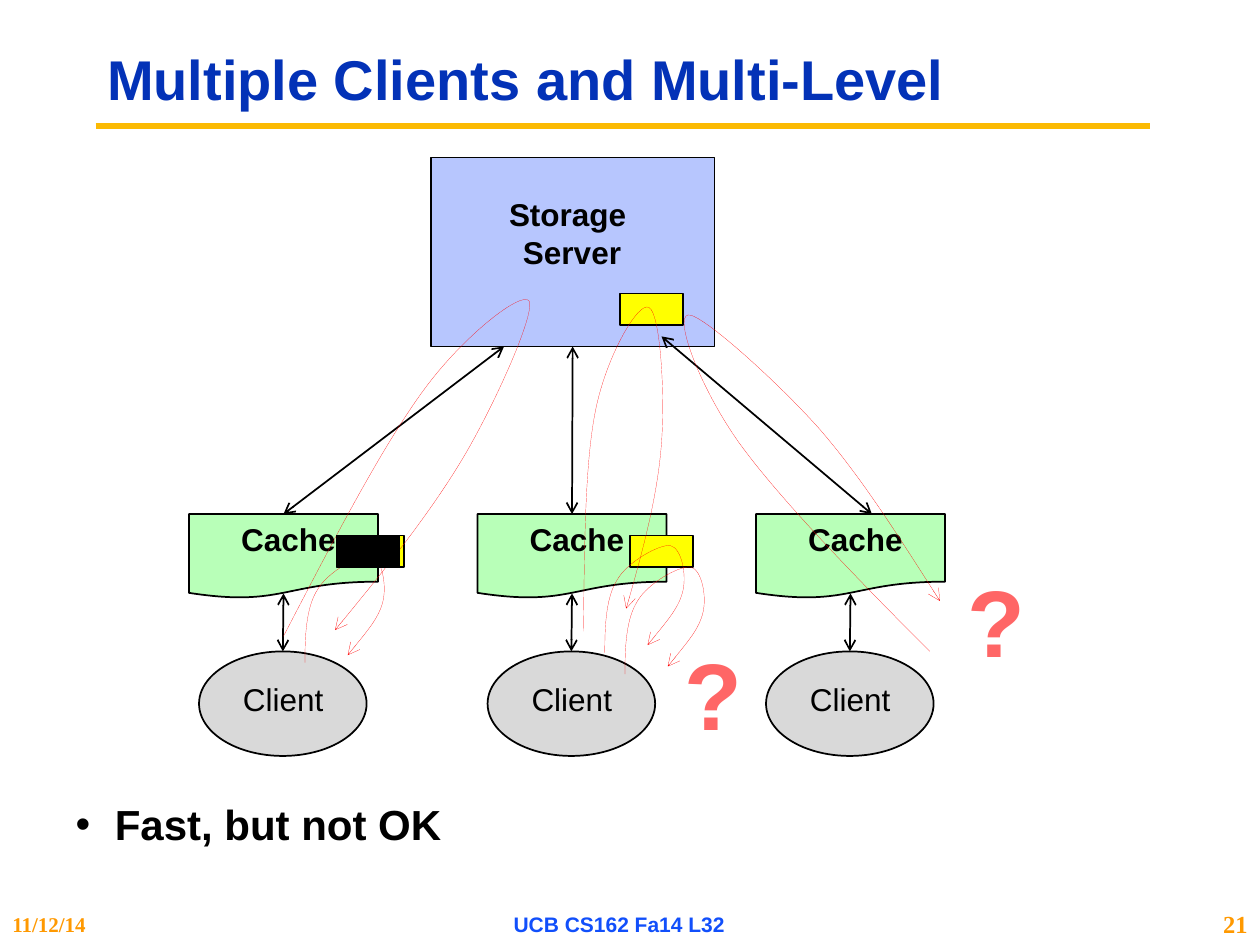
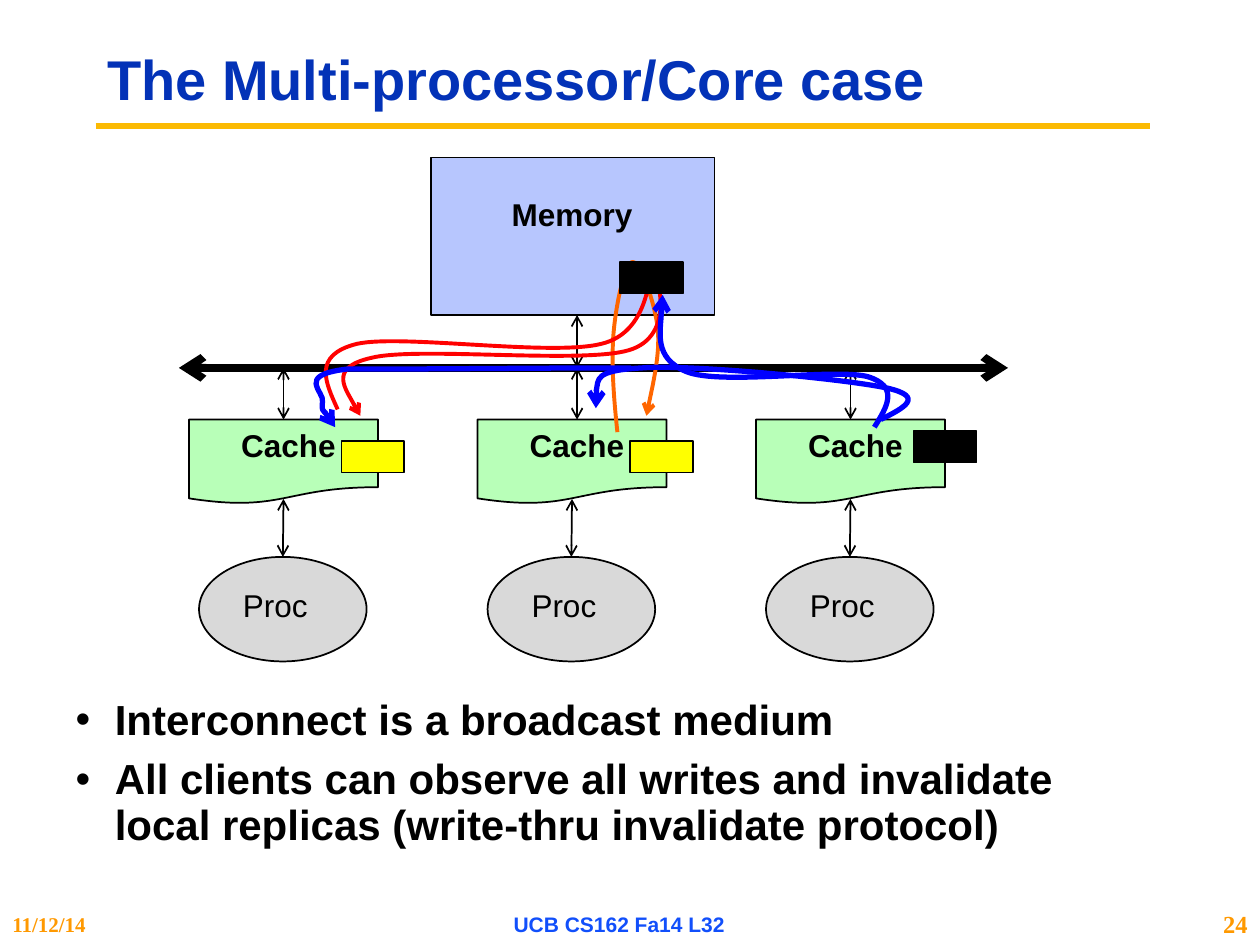
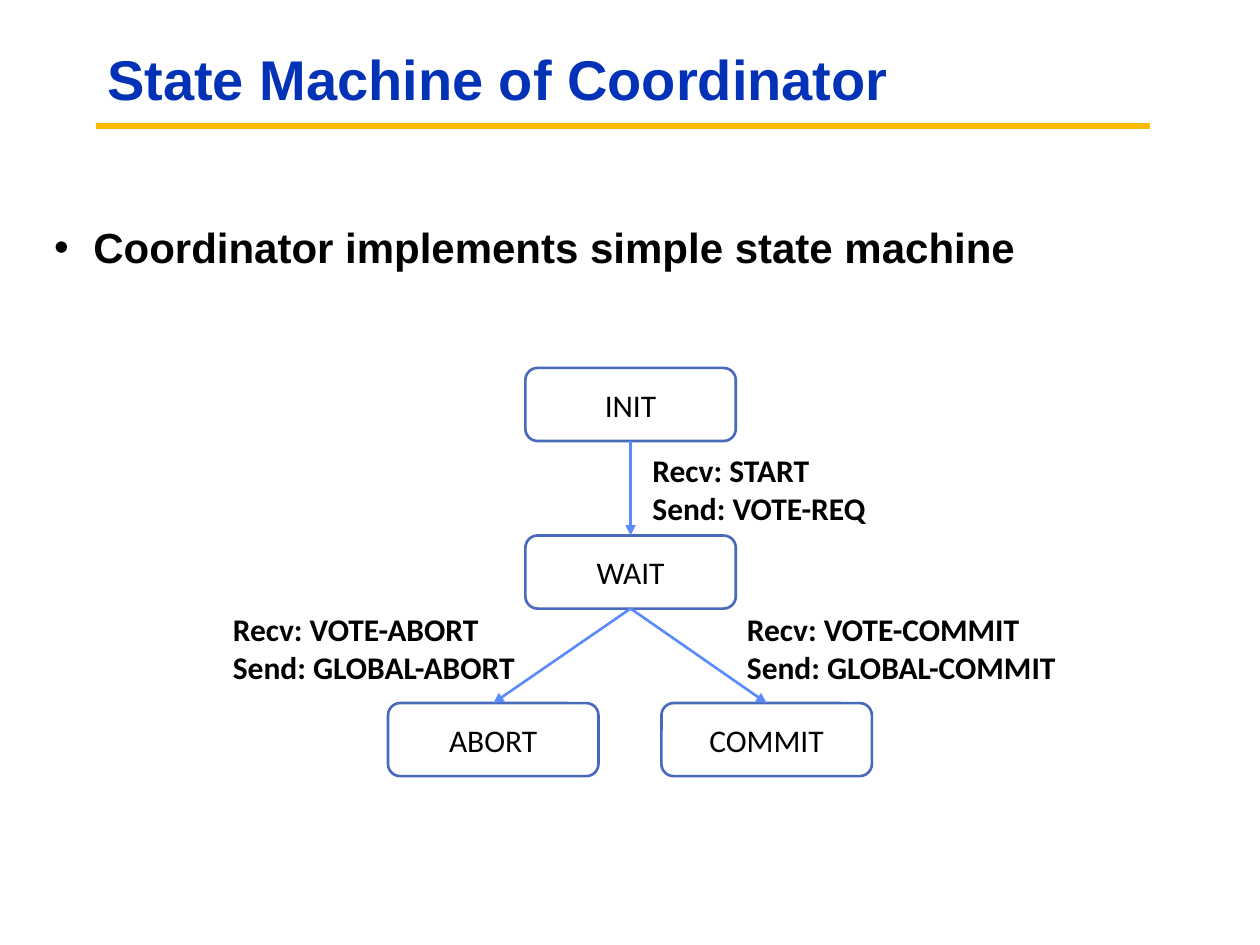
from lxml.etree import SubElement
from pptx import Presentation
from pptx.dml.color import RGBColor
from pptx.enum.shapes import MSO_CONNECTOR, MSO_SHAPE
from pptx.enum.text import MSO_ANCHOR, MSO_AUTO_SIZE, PP_ALIGN
from pptx.oxml.ns import qn
from pptx.util import Cm, Pt

BLACK, RED, YELLOW = "000000", "FF0000", "FFFF00"
SERVER, CACHE, NODE = "B7C6FE", "B8FFB8", "D9D9D9"
TITLE, RULE, FOOTER, ACCENT = "0332B7", "FBBA03", "114FFB", "FF9900"
BLUE, ORANGE, QUESTION = "0000FF", "FF6600", "FF6666"
STATE, TRANSITION = "486ABB", "5B8AFB"
LEFT, CENTER, RIGHT = PP_ALIGN.LEFT, PP_ALIGN.CENTER, PP_ALIGN.RIGHT
COLUMNS = (1.5, 3.79, 6)
BLOCK = (0.5, 0.25)
LOOP = [(0, 0), (0, -0.22), (0.01, -0.44), (0.1, -0.58), (0.18, -0.72),
        (0.43, -0.86), (0.52, -0.85), (0.61, -0.83), (0.65, -0.62),
        (0.62, -0.49), (0.59, -0.36), (0.46, -0.21), (0.34, -0.06)]


def rgb(value):
    return RGBColor.from_string(value)


def inches(*values):
    return [Cm(2.54 * value) for value in values]


class Lecture:
    def __init__(self):
        self.deck = Presentation()
        self.deck.slide_width, self.deck.slide_height = inches(10, 7.5)
        self.page = None

    def start(self, title, number=None):
        self.page = self.deck.slides.add_slide(self.deck.slide_layouts[1])
        self.line((0.76, 1), (9.13, 1), RULE, 3.75)
        box = self.placeholder(self.page.shapes.title, 0.75, 0.25, 8.42, 0.81)
        box.text_frame.vertical_anchor = MSO_ANCHOR.MIDDLE
        self.set_lines(box.text_frame, [title], 32, TITLE, True)
        box.text_frame.paragraphs[0].line_spacing = 0.9
        if number:
            self.footer("11/12/14", 0, 1.67, LEFT, 12, ACCENT, "Times New Roman")
            self.footer("UCB CS162 Fa14 L32", 3.33, 3.17, CENTER, 12, FOOTER, "Arial")
            self.footer(number, 9.42, 0.58, RIGHT, 14, ACCENT, "Times New Roman")

    def placeholder(self, box, *place):
        box.left, box.top, box.width, box.height = inches(*place)
        box.text_frame.auto_size = MSO_AUTO_SIZE.NONE
        return box

    def set_lines(self, frame, lines, size=18, color=BLACK, bold=False, align=LEFT, font="Arial"):
        for index, line in enumerate(lines):
            paragraph = frame.add_paragraph() if index else frame.paragraphs[0]
            paragraph.text = line
            paragraph.alignment = align
            paragraph.font.name = font
            paragraph.font.size = Pt(size)
            paragraph.font.bold = bold
            paragraph.font.color.rgb = rgb(color)

    def bullets(self, lines, *place):
        frame = self.placeholder(self.page.placeholders[1], *place).text_frame
        frame.vertical_anchor = MSO_ANCHOR.TOP
        for index in range(len(lines)):
            paragraph = frame.add_paragraph() if index else frame.paragraphs[0]
            paragraph.line_spacing = 0.9
            paragraph.space_before = Pt(8 if index else 0)
            properties = paragraph._p.get_or_add_pPr()
            properties.set("marL", str(Cm(0.79)))
            properties.set("indent", str(Cm(-0.79)))
            SubElement(properties, qn("a:buChar")).set("char", "•")
        for paragraph, line in zip(frame.paragraphs, lines):
            paragraph.text = line
            paragraph.font.name = "Arial"
            paragraph.font.size = Pt(24)
            paragraph.font.bold = True
            paragraph.font.color.rgb = rgb(BLACK)

    def text(self, lines, place, wrap=False, **style):
        box = self.page.shapes.add_textbox(*inches(*place))
        box.text_frame.word_wrap = wrap
        self.set_lines(box.text_frame, lines, **style)
        return box

    def footer(self, line, left, width, align, size, color, font):
        box = self.text([line], (left, 7.17, width, 0.33), True, size=size,
                        color=color, bold=True, align=align, font=font)
        box.text_frame.vertical_anchor = MSO_ANCHOR.MIDDLE

    def shape(self, kind, place, fill=None, line=BLACK, width=1):
        box = self.page.shapes.add_shape(kind, *inches(*place))
        box.shadow.inherit = False
        if fill:
            box.fill.solid()
            box.fill.fore_color.rgb = rgb(fill)
        else:
            box.fill.background()
        box.line.color.rgb = rgb(line)
        box.line.width = Pt(width)
        return box

    def block(self, left, top, color=YELLOW):
        self.shape(MSO_SHAPE.RECTANGLE, (left, top, *BLOCK), color)

    def arrowheads(self, shape, head=None, tail=None):
        stroke = shape.line._get_or_add_ln()
        for tag, kind in (("a:headEnd", head), ("a:tailEnd", tail)):
            if kind:
                SubElement(stroke, qn(tag)).set("type", kind)

    def line(self, start, end, color=BLACK, width=1, head=None, tail=None,
             source=None, target=None):
        connector = self.page.shapes.add_connector(
            MSO_CONNECTOR.STRAIGHT, *inches(*start, *end))
        connector.line.color.rgb = rgb(color)
        connector.line.width = Pt(width)
        self.arrowheads(connector, head, tail)
        SubElement(connector._element.spPr, qn("a:effectLst"))
        if source:
            connector.begin_connect(*source)
        if target:
            connector.end_connect(*target)

    def link(self, start, end, width=1, **joins):
        self.line(start, end, BLACK, width, "arrow", "arrow", **joins)

    def curve(self, points, color=RED, width=None):
        start, *rest = [tuple(inches(*point)) for point in points]
        builder = self.page.shapes.build_freeform(*start)
        builder.add_line_segments(rest, close=False)
        shape = builder.convert_to_shape()
        shape._element.remove(shape._element.find(qn("p:style")))
        outline = shape._element.find(".//" + qn("a:path"))
        segments = outline.findall(qn("a:lnTo"))
        for index in range(0, len(segments), 3):
            bezier = SubElement(outline, qn("a:cubicBezTo"))
            for segment in segments[index:index + 3]:
                bezier.append(segment[0])
                outline.remove(segment)
        shape.fill.background()
        shape.line.color.rgb = rgb(color)
        if width:
            shape.line.width = Pt(width)
        self.arrowheads(shape, tail="arrow")

    def column(self, left, top, name, name_width):
        node = self.shape(MSO_SHAPE.OVAL, (left + 0.08, top + 1.09, 1.33, 0.83), NODE)
        self.text([name], (left + 0.33, top + 1.27, name_width, 0.4))
        cache = self.shape(MSO_SHAPE.FLOWCHART_DOCUMENT, (left, top, 1.5, 0.67), CACHE)
        self.text(["Cache"], (left + 0.31, top, 0.96, 0.4), bold=True, align=CENTER)
        self.link((left + 0.75, top + 1.09), (left + 0.75, top + 0.63), source=(node, 0))
        return cache

    def state(self, name, left, top):
        box = self.shape(MSO_SHAPE.ROUNDED_RECTANGLE, (left, top, 1.67, 0.58), None, STATE, 1.5)
        frame = box.text_frame
        frame.margin_left = frame.margin_right = frame.margin_top = frame.margin_bottom = 0
        frame.vertical_anchor = MSO_ANCHOR.MIDDLE
        self.set_lines(frame, [name], align=CENTER, font="Calibri")
        return box

    def transition(self, source, target, received, sent, *place):
        self.line((0, 0), (1, 1), TRANSITION, 1.5, tail="triangle",
                  source=(source, 2), target=(target, 0))
        self.text([f"Recv: {received}", f"Send: {sent}"], place, True,
                  bold=True, font="Calibri")


def clients_slide(lecture):
    lecture.start("Multiple Clients and Multi-Level", "21")
    lecture.bullets(["Fast, but not OK"], 0.5, 6.33, 8.42, 0.75)
    server = lecture.shape(MSO_SHAPE.RECTANGLE, (3.42, 1.25, 2.25, 1.5), SERVER)
    lecture.text(["Storage ", "Server"], (3.73, 1.5, 1.62, 0.71), bold=True, align=CENTER)
    first, second, third = [lecture.column(left, 4.08, "Client", 0.85) for left in COLUMNS]
    lecture.link((2.25, 4.08), (4, 2.75), source=(first, 0))
    lecture.link((4.54, 4.08), (4.54, 2.75), source=(second, 0), target=(server, 2))
    lecture.link((6.92, 4.08), (5.25, 2.67))
    for left, top in ((4.92, 2.33), (5, 4.25), (2.71, 4.25)):
        lecture.block(left, top)
    lecture.curve([(4.63, 5.01), (4.64, 4.34), (4.64, 3.67), (4.73, 3.24), (4.82, 2.81),
                   (5.07, 2.39), (5.15, 2.44), (5.24, 2.48), (5.28, 3.12), (5.25, 3.52),
                   (5.22, 3.92), (5.1, 4.38), (4.97, 4.83)])
    lecture.curve([(2.25, 5.05), (2.64, 4.3), (3.03, 3.55), (3.36, 3.1), (3.68, 2.66),
                   (4.15, 2.3), (4.2, 2.39), (4.25, 2.49), (3.92, 3.23), (3.66, 3.66),
                   (3.4, 4.09), (3.03, 4.55), (2.66, 5)])
    lecture.curve([(7.38, 5.17), (6.78, 4.57), (6.19, 3.96), (5.87, 3.52), (5.55, 3.07),
                   (5.35, 2.52), (5.46, 2.5), (5.56, 2.48), (6.16, 3.02), (6.5, 3.4),
                   (6.83, 3.78), (7.14, 4.27), (7.46, 4.77)])
    for left, top in ((4.8, 5.18), (4.96, 5.35), (2.42, 5.26)):
        lecture.curve([(left + across, top + down) for across, down in LOOP])
    lecture.block(2.67, 4.25, BLACK)
    for left, top in ((5.33, 5), (7.58, 4.42)):
        lecture.text(["?"], (left, top, 0.66, 1.01), size=54, color=QUESTION,
                     bold=True, align=CENTER)


def processors_slide(lecture):
    lecture.start("The Multi-processor/Core case", "24")
    lecture.bullets(["Interconnect is a broadcast medium",
                     "All clients can observe all writes and invalidate local replicas "
                     "(write-thru invalidate protocol)"], 0.5, 5.5, 8.42, 0.75)
    lecture.shape(MSO_SHAPE.RECTANGLE, (3.42, 1.25, 2.25, 1.25), SERVER)
    lecture.text(["Memory"], (3.94, 1.5, 1.2, 0.4), bold=True, align=CENTER)
    first, second, third = [lecture.column(left, 3.33, "Proc", 0.72) for left in COLUMNS]
    for left, top, color in ((5, 3.5, YELLOW), (2.71, 3.5, YELLOW), (7.25, 3.42, BLACK)):
        lecture.block(left, top, color)
    lecture.link((1.42, 2.92), (8, 2.92), 4.5)
    for center, source in ((2.25, (first, 0)), (4.58, None), (6.75, (third, 0))):
        lecture.link((center, 3.33), (center, 2.92), source=source)
    lecture.link((4.58, 2.92), (4.58, 2.5))
    lecture.curve([(4.9, 3.43), (4.87, 3.15), (4.85, 2.87), (4.87, 2.64), (4.89, 2.41),
                   (4.96, 2.08), (5.02, 2.08), (5.08, 2.07), (5.2, 2.41), (5.22, 2.61),
                   (5.24, 2.81), (5.13, 3.3), (5.13, 3.3)], ORANGE, 2.25)
    lecture.curve([(2.68, 3.25), (2.58, 3.03), (2.48, 2.82), (2.83, 2.73), (3.18, 2.65),
                   (4.37, 2.83), (4.77, 2.73), (5.16, 2.64), (5.14, 2.16), (5.18, 2.17),
                   (5.22, 2.17), (5.37, 2.67), (4.99, 2.78), (4.62, 2.89), (3.31, 2.75),
                   (2.95, 2.84), (2.59, 2.92), (2.86, 3.3), (2.86, 3.3)], RED, 2.25)
    for broadcast in (
            [(6.94, 3.39), (7.04, 3.23), (7.14, 3.07), (6.89, 2.99), (6.64, 2.92),
             (5.72, 3.06), (5.45, 2.95), (5.18, 2.84), (5.26, 2.34), (5.26, 2.34)],
            [(6.99, 3.33), (7.17, 3.24), (7.35, 3.15), (7.04, 3.08), (6.72, 3.01),
             (5.48, 2.89), (5.1, 2.92), (4.71, 2.94), (4.72, 3.09), (4.73, 3.24)],
            [(5.01, 2.92), (4.26, 2.92), (3.5, 2.93), (2.75, 2.93), (2.34, 2.98),
             (2.58, 3.11), (2.56, 3.19), (2.55, 3.27), (2.66, 3.39), (2.66, 3.39)]):
        lecture.curve(broadcast, BLUE, 3)
    lecture.block(4.92, 2.08, BLACK)


def coordinator_slide(lecture):
    lecture.start("State Machine of Coordinator")
    lecture.bullets(["Coordinator implements simple state machine"], 0.33, 1.75, 9, 4.95)
    init = lecture.state("INIT", 4.17, 2.92)
    wait = lecture.state("WAIT", 4.17, 4.25)
    abort = lecture.state("ABORT", 3.08, 5.58)
    commit = lecture.state("COMMIT", 5.25, 5.58)
    lecture.transition(init, wait, "START", "VOTE-REQ", 5.08, 3.53, 2.5, 0.71)
    lecture.transition(wait, abort, "VOTE-ABORT", "GLOBAL-ABORT", 1.75, 4.79, 3.17, 0.71)
    lecture.transition(wait, commit, "VOTE-COMMIT", "GLOBAL-COMMIT", 5.83, 4.79, 3.17, 0.71)


def main():
    lecture = Lecture()
    clients_slide(lecture)
    processors_slide(lecture)
    coordinator_slide(lecture)
    lecture.deck.save("out.pptx")


if __name__ == "__main__":
    main()
